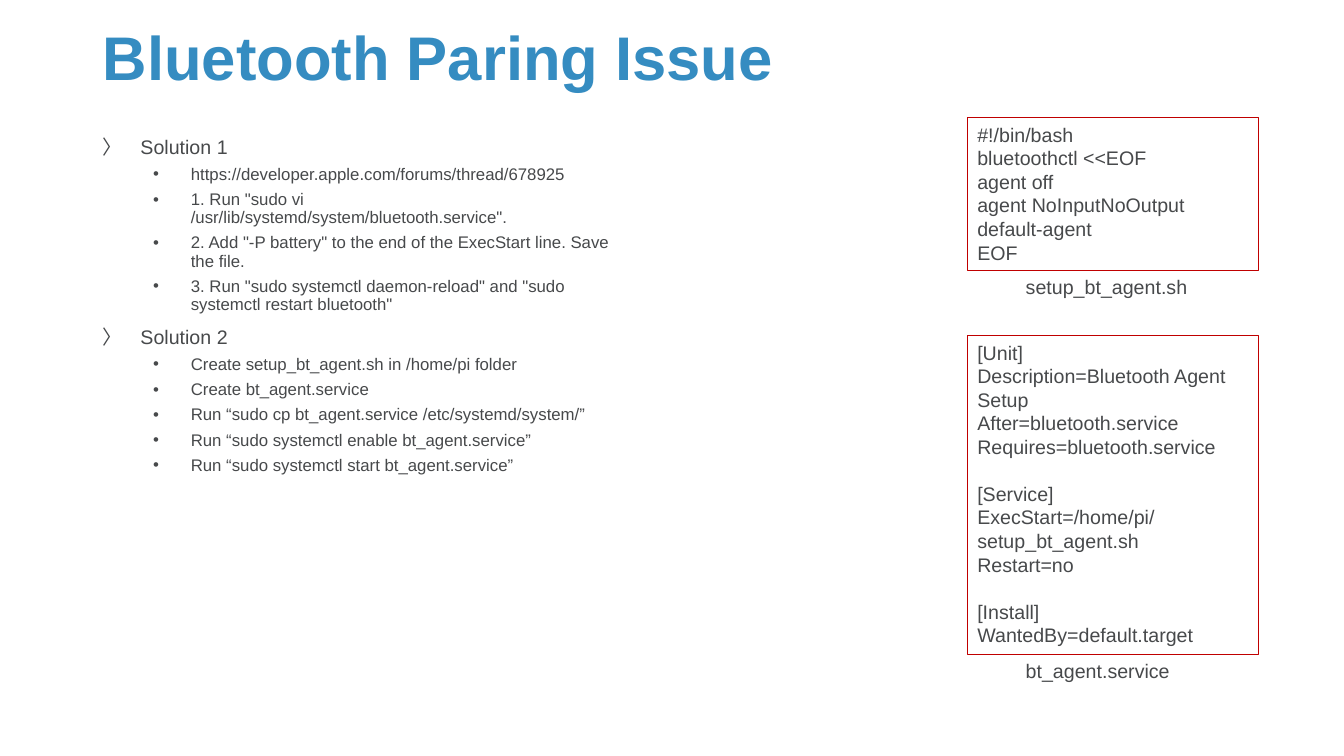
from lxml import etree
from pptx import Presentation
from pptx import util as u
from pptx.dml.color import RGBColor
from pptx.enum import shapes, text
from pptx.oxml.ns import qn

TITLE = "Bluetooth Paring Issue"
STEPS = [
    ("Solution 1", [
        "https://developer.apple.com/forums/thread/678925",
        '1. Run "sudo vi /usr/lib/systemd/system/bluetooth.service".',
        '2. Add "-P battery" to the end of the ExecStart line. Save the file.',
        '3. Run "sudo systemctl daemon-reload" and "sudo systemctl restart bluetooth"',
    ]),
    ("Solution 2", [
        "Create setup_bt_agent.sh in /home/pi folder",
        "Create bt_agent.service",
        "Run “sudo cp bt_agent.service /etc/systemd/system/”",
        "Run “sudo systemctl enable bt_agent.service”",
        "Run “sudo systemctl start bt_agent.service”",
    ]),
]
FILES = [
    ("setup_bt_agent.sh", 2.97, 3.84, [
        ["#!/bin/bash", "bluetoothctl <<EOF", "agent off",
         "agent NoInputNoOutput", "default-agent", "EOF"],
    ]),
    ("bt_agent.service", 8.46, 8.03, [
        ["[Unit]", "Description=Bluetooth Agent Setup",
         "After=bluetooth.service", "Requires=bluetooth.service"],
        ["[Service]", "ExecStart=/home/pi/setup_bt_agent.sh", "Restart=no"],
        ["[Install]", "WantedBy=default.target"],
    ]),
]
COLORS = {"title": "358CC1", "text": "47494B", "frame": "C00000"}
FONT = "Arial"
LEFT, CODE_X, CODE_W, NAME_X = 2.34, 24.38, 7.34, 25.6
GAP = 16.8


def color(name):
    return RGBColor.from_string(COLORS[name])


def style(para, size, tone="text", bold=False):
    for run in para.runs:
        run.font.name = FONT
        run.font.size = u.Pt(size)
        run.font.bold = bold
        run.font.color.rgb = color(tone)


def add_box(x, y, w, h):
    box = slide.shapes.add_textbox(u.Cm(x), u.Cm(y), u.Cm(w), u.Cm(h))
    box.text_frame.word_wrap = True
    return box.text_frame


def add_line(frame, line, first):
    para = frame.paragraphs[0] if first else frame.add_paragraph()
    para.text = line
    return para


def add_mark(para, mark, indent):
    props = para._p.get_or_add_pPr()
    props.set("marL", str(u.Cm(indent)))
    props.set("indent", str(u.Cm(-0.95)))
    etree.SubElement(props, qn("a:buFont")).set("typeface", FONT)
    etree.SubElement(props, qn("a:buChar")).set("char", mark)


def add_step(frame, line, level, first=False):
    mark, indent, size, space = [("〉", 0.95, 14, 10), ("•", 2.22, 12, 5)][level]
    para = add_line(frame, line, first)
    para.level = level
    add_mark(para, mark, indent)
    para.line_spacing = 0.9
    if not first:
        para.space_before = u.Pt(space)
    style(para, size)


def add_code(y, h, blocks):
    box = slide.shapes.add_shape(shapes.MSO_SHAPE.RECTANGLE, u.Cm(CODE_X),
                                 u.Cm(y), u.Cm(CODE_W), u.Cm(h))
    box.shadow.inherit = False
    box.fill.background()
    box.line.color.rgb = color("frame")
    box.line.width = u.Pt(0.75)
    frame = box.text_frame
    frame.word_wrap = True
    frame.vertical_anchor = text.MSO_ANCHOR.TOP
    for b, block in enumerate(blocks):
        for n, line in enumerate(block):
            para = add_line(frame, line, b == n == 0)
            para.alignment = text.PP_ALIGN.LEFT
            if b and n == 0:
                para.space_before = u.Pt(GAP)
            style(para, 14)


deck = Presentation()
deck.slide_width, deck.slide_height = u.Cm(33.87), u.Cm(19.05)
slide = deck.slides.add_slide(deck.slide_layouts[6])

head = add_box(LEFT, 0.51, 29.21, 2.03)
head.vertical_anchor = text.MSO_ANCHOR.MIDDLE
head.text = TITLE
head.paragraphs[0].line_spacing = 0.9
style(head.paragraphs[0], 44, "title", True)

body = add_box(LEFT, 3.35, 13.67, 12.62)
for n, (topic, lines) in enumerate(STEPS):
    add_step(body, topic, 0, n == 0)
    for line in lines:
        add_step(body, line, 1)

for name, y, h, blocks in FILES:
    add_code(y, h, blocks)
    label = add_box(NAME_X, y + h, 4.93, 0.86)
    label.text = name
    style(label.paragraphs[0], 14)

deck.save("out.pptx")
